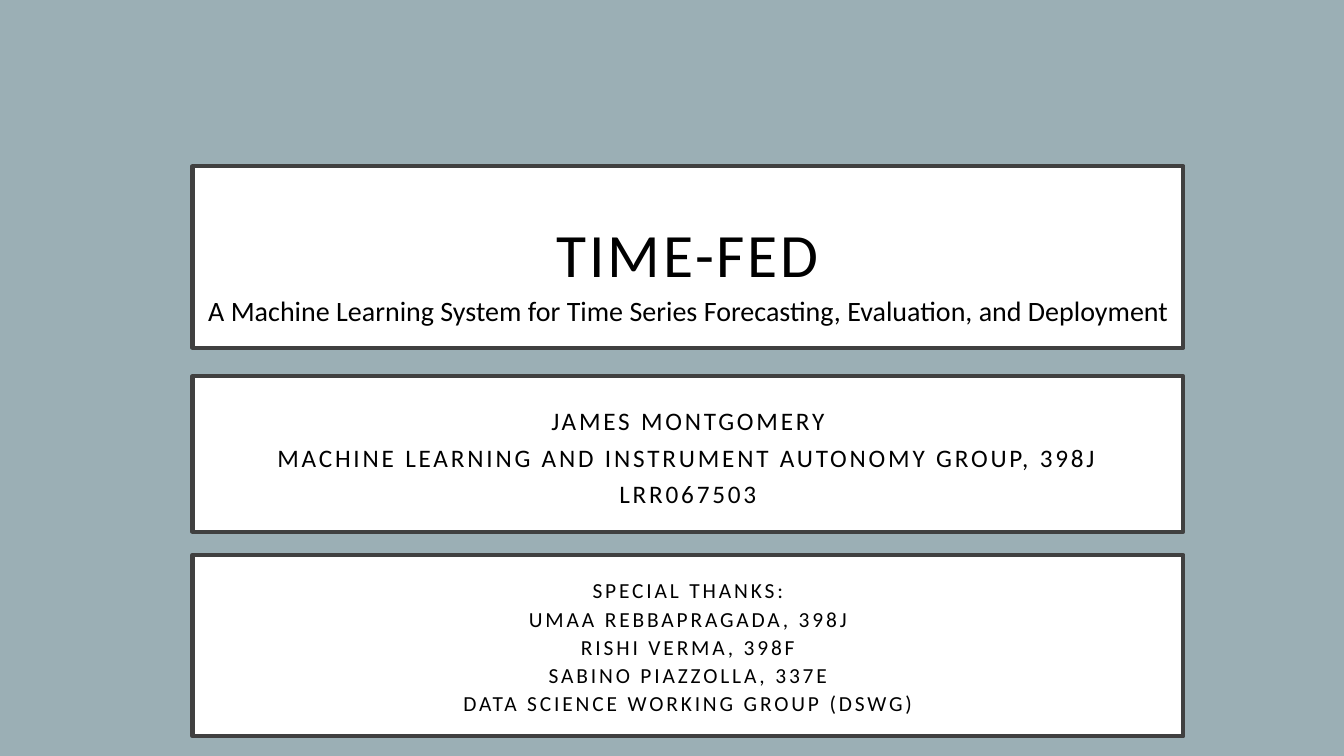
"""Build the TIME-FED title slide with its author and thanks panels."""
from pptx import Presentation
from pptx.dml.color import RGBColor
from pptx.enum.shapes import MSO_SHAPE
from pptx.enum.text import MSO_ANCHOR, MSO_AUTO_SIZE, PP_ALIGN
from pptx.util import Pt

RECTANGLE = MSO_SHAPE.RECTANGLE
MIDDLE, TOP = MSO_ANCHOR.MIDDLE, MSO_ANCHOR.TOP
NO_AUTOFIT = MSO_AUTO_SIZE.NONE
CENTER = PP_ALIGN.CENTER

COLORS = {"background": "9BAFB5", "panel": "FFFFFF", "border": "404040", "text": "000000"}
FONT = "Calibri"
TITLE_ONLY = 5
PANEL_LEFT, PANEL_WIDTH = 137.5, 707.8


def write_text(shape, paragraphs, size, line_spacing=1.0, tracking=0,
               anchor=MIDDLE, margins=(21.6, 14.4)):
    """Fill a shape with centred paragraphs."""
    frame = shape.text_frame
    frame.word_wrap = True
    frame.auto_size = NO_AUTOFIT
    frame.vertical_anchor = anchor
    frame.margin_left = frame.margin_right = Pt(margins[0])
    frame.margin_top = frame.margin_bottom = Pt(margins[1])
    for index, text in enumerate(paragraphs):
        paragraph = frame.paragraphs[0] if index == 0 else frame.add_paragraph()
        paragraph.text = text
        paragraph.alignment = CENTER
        paragraph.line_spacing = line_spacing
        paragraph.space_before = paragraph.space_after = Pt(0)
        for run in paragraph.runs:
            run.font.name = FONT
            run.font.size = Pt(size)
            run.font.color.rgb = RGBColor.from_string(COLORS["text"])
            if tracking:
                run.font._element.set("spc", str(tracking * 100))


def style_panel(shape, top, height):
    """Place a white panel with a dark border."""
    shape.left, shape.top = Pt(PANEL_LEFT), Pt(top)
    shape.width, shape.height = Pt(PANEL_WIDTH), Pt(height)
    shape.fill.solid()
    shape.fill.fore_color.rgb = RGBColor.from_string(COLORS["panel"])
    shape.line.color.rgb = RGBColor.from_string(COLORS["border"])
    shape.line.width = Pt(3)


presentation = Presentation()
presentation.slide_width, presentation.slide_height = Pt(960), Pt(540)
slide = presentation.slides.add_slide(presentation.slide_layouts[TITLE_ONLY])
slide.background.fill.solid()
slide.background.fill.fore_color.rgb = RGBColor.from_string(COLORS["background"])

title = slide.shapes.title
style_panel(title, 118.8, 129.6)
write_text(title, ["TIME-FED"], size=44, line_spacing=0.9, tracking=2)

subtitle = slide.shapes.add_textbox(Pt(131.8), Pt(206), Pt(720), Pt(59))
write_text(
    subtitle,
    ["A Machine Learning System for Time Series Forecasting, Evaluation, and Deployment"],
    size=20, anchor=TOP, margins=(7.2, 3.6),
)

author_lines = [
    "JAMES MONTGOMERY",
    "MACHINE LEARNING AND INSTRUMENT AUTONOMY GROUP, 398J\vLRR067503",
]
thanks_lines = [
    "SPECIAL THANKS:",
    "UMAA REBBAPRAGADA, 398J",
    "RISHI VERMA, 398F",
    "SABINO PIAZZOLLA, 337E",
    "DATA SCIENCE WORKING GROUP (DSWG)",
]
panels = [
    (268.8, 111, author_lines, 18, 1.2),
    (396.4, 129.6, thanks_lines, 15.3, 1.1),
]
for top, height, lines, size, line_spacing in panels:
    panel = slide.shapes.add_shape(RECTANGLE, 0, 0, 0, 0)
    panel.shadow.inherit = False
    style_panel(panel, top, height)
    write_text(panel, lines, size=size, line_spacing=line_spacing, tracking=2)

presentation.save("out.pptx")
